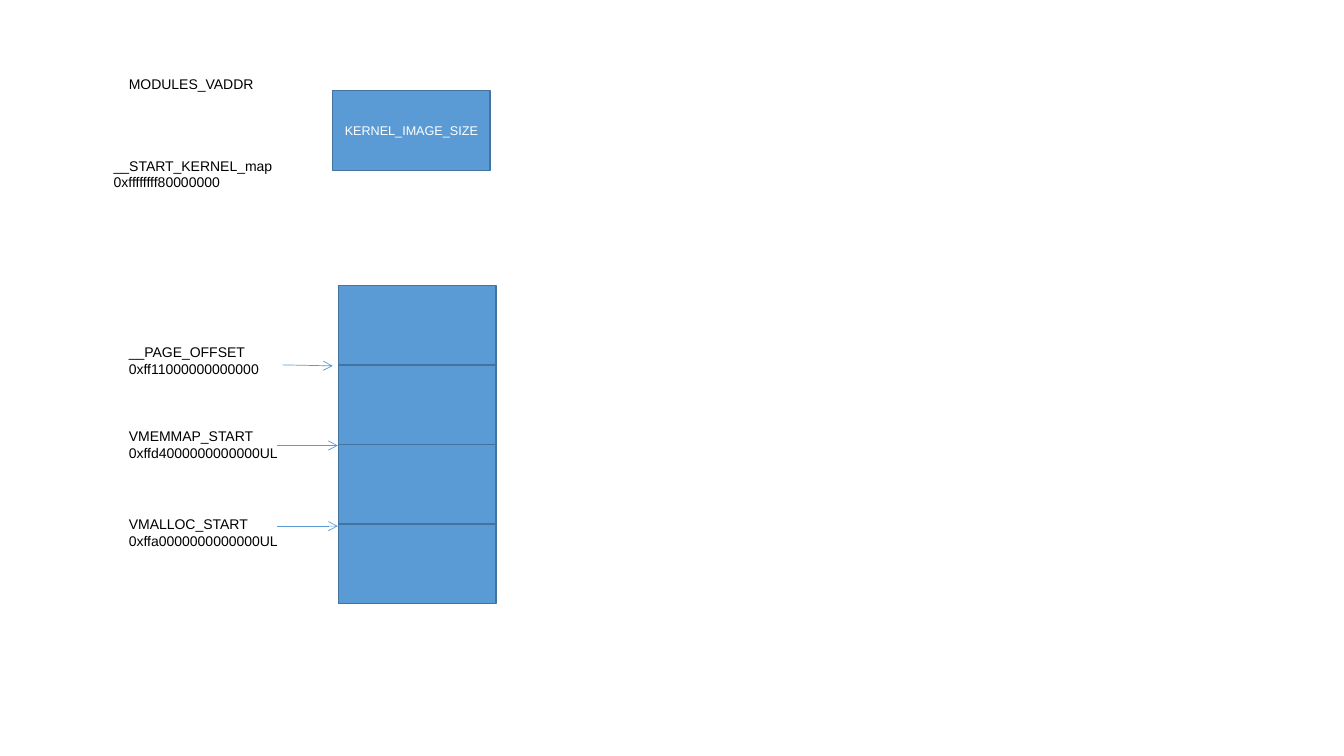
from lxml import etree
from pptx import Presentation
from pptx import util as u
from pptx.dml.color import RGBColor
from pptx.enum import shapes, text
from pptx.oxml.ns import qn

COLORS = {"region": "5B9BD5", "border": "43739E", "label": "000000", "caption": "FFFFFF"}
SLIDE_SIZE = (13.33, 7.5)
REGION_WIDTH, REGION_HEIGHT = 1.56, 0.79
LABEL_INDENT = 0.15


def rgb(key):
    """Return the named palette colour."""
    return RGBColor.from_string(COLORS[key])


def write(frame, lines, size, color, align=text.PP_ALIGN.LEFT):
    """Write each line as one paragraph of Arial text."""
    frame.word_wrap = True
    for index, line in enumerate(lines):
        paragraph = frame.paragraphs[0] if index == 0 else frame.add_paragraph()
        paragraph.alignment = align
        run = paragraph.add_run()
        run.text = line
        run.font.name = "Arial"
        run.font.size = u.Pt(size)
        run.font.color.rgb = rgb(color)


def add_region(slide, left, top, caption=None):
    """Draw one memory region, with an optional centred caption."""
    region = slide.shapes.add_shape(
        shapes.MSO_SHAPE.RECTANGLE,
        *map(u.Inches, (left, top, REGION_WIDTH, REGION_HEIGHT)))
    region.shadow.inherit = False
    region.fill.solid()
    region.fill.fore_color.rgb = rgb("region")
    region.line.color.rgb = rgb("border")
    region.line.width = u.Pt(1)
    if caption:
        region.text_frame.vertical_anchor = text.MSO_ANCHOR.MIDDLE
        write(region.text_frame, [caption], 9, "caption", text.PP_ALIGN.CENTER)


def add_label(slide, box, lines):
    """Place an address label in the given box."""
    label = slide.shapes.add_textbox(*map(u.Inches, box))
    write(label.text_frame, lines, 10, "label")


def add_pointer(slide, start, end):
    """Draw a thin arrow from a label to a region boundary."""
    pointer = slide.shapes.add_connector(
        shapes.MSO_CONNECTOR.STRAIGHT, *map(u.Inches, (*start, *end)))
    pointer.line.color.rgb = rgb("region")
    pointer.line.width = u.Pt(0.5)
    etree.SubElement(pointer.line._get_or_add_ln(), qn("a:tailEnd"), type="arrow")
    etree.SubElement(pointer._element.spPr, qn("a:effectLst"))


def add_address_space(slide, left, top):
    """Draw the stack of regions with its pointers and start addresses."""
    stack_left = left + 2.33
    for row in range(4):
        add_region(slide, stack_left, top + row * REGION_HEIGHT)
    starts = [
        ("__PAGE_OFFSET", "0xff11000000000000", 0.53, 2.34, 0.68, (2.8, 3.62), (3.3, 3.63)),
        ("VMEMMAP_START", "0xffd4000000000000UL", 1.36, 1.96, 0.47, (2.75, 4.42), (3.35, 4.42)),
        ("VMALLOC_START", "0xffa0000000000000UL", 2.24, 1.81, 0.53, (2.75, 5.22), (3.35, 5.22)),
    ]
    for symbol, address, offset, width, height, tail, head in starts:
        add_pointer(slide, tail, head)
        add_label(slide, (left + LABEL_INDENT, top + offset, width, height), [symbol, address])


def add_kernel_image(slide, left, top):
    """Draw the kernel image region between its two address labels."""
    add_region(slide, left + 2.27, top + 0.2, "KERNEL_IMAGE_SIZE")
    add_label(slide, (left, top + 0.81, 4.44, 0.44),
              ["__START_KERNEL_map", "0xffffffff80000000"])
    add_label(slide, (left + LABEL_INDENT, top, 4.44, 0.27), ["MODULES_VADDR"])


def main():
    """Build the kernel memory layout slide."""
    deck = Presentation()
    deck.slide_width, deck.slide_height = map(u.Inches, SLIDE_SIZE)
    slide = deck.slides.add_slide(deck.slide_layouts[6])
    add_address_space(slide, 1.03, 2.83)
    add_kernel_image(slide, 1.03, 0.7)
    deck.save("out.pptx")


if __name__ == "__main__":
    main()
